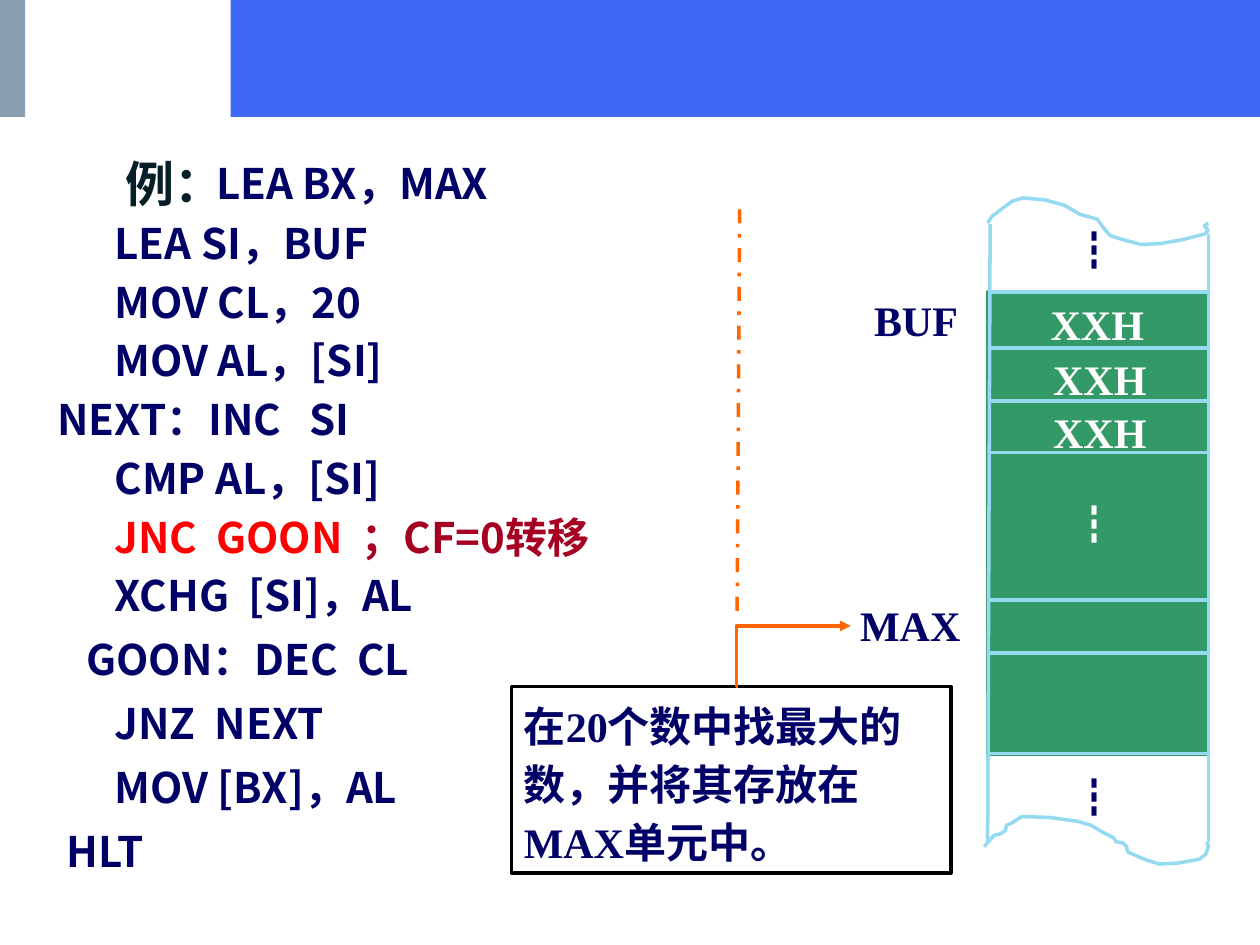
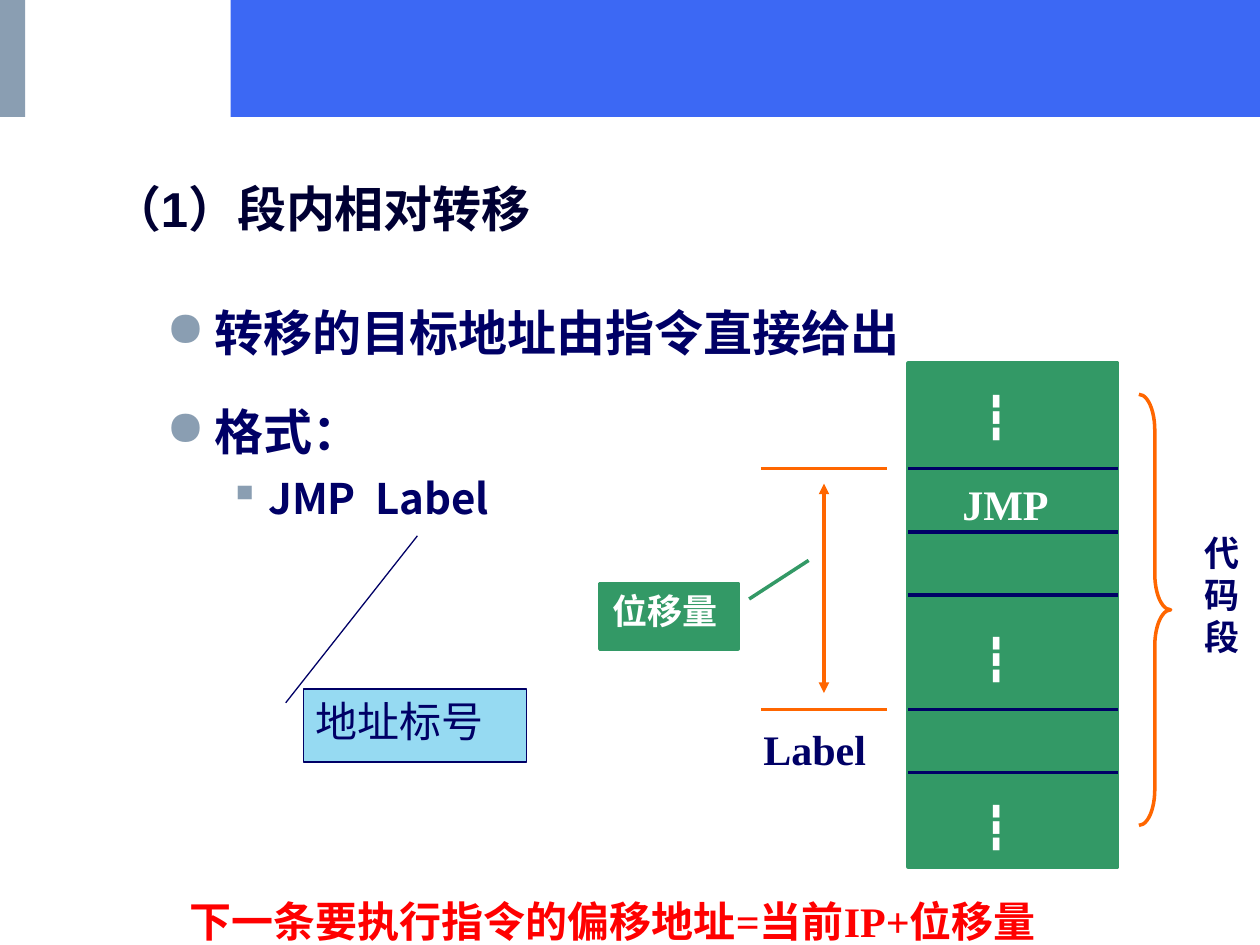
from dataclasses import dataclass
from typing import Optional

from lxml import etree
from pptx import Presentation
from pptx.dml.color import RGBColor
from pptx.enum import dml, shapes, text
from pptx.oxml import ns
from pptx.util import Cm, Pt

NAVY, GREEN, ORANGE, SKY = "000066", "339966", "FF6600", "96DAF2"
WHITE, RED, STEEL, BLUE = "FFFFFF", "FF0000", "8A9EB2", "3C68F4"
CJK, SERIF, SANS, MONO_DOTS = "Noto Sans CJK SC", "Times New Roman", "Arial", "DejaVu Sans"
DOTS = "┇"


@dataclass(frozen=True)
class Style:
    size: float = 24
    font: str = SERIF
    color: str = NAVY
    bold: bool = True


@dataclass(frozen=True)
class Label:
    left: float
    top: float
    width: float
    height: float
    words: str
    style: Style = Style()
    spacing: Optional[float] = None
    inset_top: float = 0.13
    middle: bool = False


@dataclass(frozen=True)
class Rule:
    x1: float
    y1: float
    x2: float
    y2: float
    color: str
    dash_dot: bool = False
    arrows: tuple[str, ...] = ()


@dataclass(frozen=True)
class Box:
    left: float
    top: float
    width: float
    height: float
    fill: Optional[str] = None
    line: Optional[str] = None
    weight: float = 2
    kind: int = shapes.MSO_SHAPE.RECTANGLE
    adjustments: tuple[float, ...] = ()


@dataclass(frozen=True)
class Bullet:
    words: str
    mark: str
    size: float
    margin: float
    hanging: float
    before: float
    after: float


CODE = Style(font=CJK)
CELL = Style(color=WHITE)
WIDE_DOTS = Style(font=CJK, bold=False)
CODE_LINES = [
    [("           ", Style(28, MONO_DOTS)), ("LEA BX，MAX", CODE)],
    [("         LEA SI，BUF", CODE)],
    [("         MOV CL，20", CODE)],
    [("         MOV AL，[SI]", CODE)],
    [("   NEXT：INC   SI", CODE)],
    [("         CMP AL，[SI]", CODE)],
    [("         ", CODE), ("JNC  GOON  ", Style(font=CJK, color=RED)),
     ("；CF=0转移", Style(font=CJK, color="A50021"))],
    [("         XCHG  [SI]，AL", CODE)],
    [("\t GOON：DEC  CL", CODE)],
    [("         JNZ  NEXT", CODE)],
    [("         MOV [BX]，AL", CODE)],
    [("    HLT", CODE)],
]
LOOSE_FROM = 8

TORN_TOP = [
    (19.91, 4.5), (19.99, 4.37), (20.12, 4.27), (20.4, 4.06), (20.62, 3.99), (21.06, 4.03),
    (21.46, 4.14), (21.77, 4.32), (22.12, 4.42), (22.25, 4.6), (22.38, 4.75), (22.63, 4.83),
    (23.01, 4.93), (23.4, 4.91), (23.85, 4.83), (24.28, 4.72), (24.36, 4.65), (24.28, 4.55),
    (24.36, 4.5),
]
TORN_BOTTOM = [
    (19.84, 17.07), (20.04, 16.84), (20.17, 16.81), (20.27, 16.74), (20.29, 16.64),
    (20.4, 16.59), (20.6, 16.46), (21.16, 16.48), (21.74, 16.56), (22, 16.64), (22.2, 16.76),
    (22.45, 16.89), (22.5, 16.97), (22.63, 16.99), (22.71, 17.07), (22.73, 17.17),
    (23.06, 17.32), (23.37, 17.42), (23.75, 17.4), (24.18, 17.32), (24.31, 17.22),
    (24.36, 17.07), (24.33, 16.97),
]


def rgb(value: str) -> RGBColor:
    return RGBColor.from_string(value)


def format_run(run, style: Style) -> None:
    run.font.size = Pt(style.size)
    run.font.name = style.font
    run.font.bold = style.bold
    run.font.color.rgb = rgb(style.color)
    latin = run.font._element.find(ns.qn("a:latin"))
    east_asian = etree.Element(ns.qn("a:ea"))
    east_asian.set("typeface", CJK if style.font in (SERIF, SANS) else style.font)
    latin.addnext(east_asian)


def write(shape, words: str, style: Style, spacing: Optional[float] = None) -> None:
    frame = shape.text_frame
    frame.word_wrap = True
    frame.text = words
    frame.vertical_anchor = text.MSO_ANCHOR.TOP
    paragraph = frame.paragraphs[0]
    paragraph.alignment = text.PP_ALIGN.LEFT
    if spacing:
        paragraph.line_spacing = spacing
    format_run(paragraph.runs[0], style)


def draw_label(slide, label: Label) -> None:
    holder = slide.shapes.add_textbox(
        Cm(label.left), Cm(label.top), Cm(label.width), Cm(label.height))
    write(holder, label.words, label.style, label.spacing)
    holder.text_frame.margin_top = Cm(label.inset_top)
    if label.middle:
        holder.text_frame.vertical_anchor = text.MSO_ANCHOR.MIDDLE


def paint(shape, fill: Optional[str], line: Optional[str], weight: float = 2) -> None:
    shape.shadow.inherit = False
    if fill:
        shape.fill.solid()
        shape.fill.fore_color.rgb = rgb(fill)
    else:
        shape.fill.background()
    if line:
        shape.line.color.rgb = rgb(line)
        shape.line.width = Pt(weight)
    else:
        shape.line.fill.background()


def draw_box(slide, box: Box):
    shape = slide.shapes.add_shape(
        box.kind, Cm(box.left), Cm(box.top), Cm(box.width), Cm(box.height))
    for index, value in enumerate(box.adjustments):
        shape.adjustments[index] = value
    paint(shape, box.fill, box.line, box.weight)
    return shape


def draw_rule(slide, rule: Rule, kind=shapes.MSO_CONNECTOR.STRAIGHT):
    connector = slide.shapes.add_connector(
        kind, Cm(rule.x1), Cm(rule.y1), Cm(rule.x2), Cm(rule.y2))
    connector.line.color.rgb = rgb(rule.color)
    connector.line.width = Pt(2)
    if rule.dash_dot:
        connector.line.dash_style = dml.MSO_LINE.DASH_DOT
    properties = connector._element.spPr
    for end in rule.arrows:
        etree.SubElement(properties.find(ns.qn("a:ln")), ns.qn(f"a:{end}")).set("type", "triangle")
    etree.SubElement(properties, ns.qn("a:effectLst"))
    return connector


def draw_tear(slide, points: list[tuple[float, float]]) -> None:
    (x, y), *rest = [(round(px * 100), round(py * 100)) for px, py in points]
    builder = slide.shapes.build_freeform(x, y, scale=Cm(0.01))
    builder.add_line_segments(rest, close=False)
    paint(builder.convert_to_shape(), None, SKY)


def set_indent(paragraph, margin: float, hanging: float) -> None:
    properties = paragraph._p.get_or_add_pPr()
    properties.set("marL", str(Cm(margin)))
    properties.set("indent", str(-Cm(hanging)))


def new_slide(prs):
    slide = prs.slides.add_slide(prs.slide_layouts[6])
    for band in (Box(4.65, 0, 20.75, 2.36, BLUE), Box(0, 0, 0.51, 2.36, STEEL)):
        draw_box(slide, band)
    return slide


def draw_code(slide) -> None:
    listing = slide.shapes.add_textbox(Cm(0.33), Cm(2.9), Cm(14.81), Cm(15.24))
    frame = listing.text_frame
    frame.word_wrap = True
    for number, pieces in enumerate(CODE_LINES):
        line = frame.add_paragraph() if number else frame.paragraphs[0]
        set_indent(line, 0.97, 0.97)
        if number:
            line.space_before = Pt(4.8)
        if number >= LOOSE_FROM:
            line.line_spacing = 1.1
        for words, style in pieces:
            run = line.add_run()
            run.text = words
            format_run(run, style)


def build_maximum_search(prs) -> None:
    slide = new_slide(prs)
    draw_code(slide)
    draw_rule(slide, Rule(14.91, 4.22, 14.86, 12.32, ORANGE, dash_dot=True))
    draw_label(slide, Label(2.29, 2.9, 3.61, 1.57, "例：",
                            Style(28, CJK, "061E27"), middle=True))

    left, right = 19.91, 24.36
    draw_box(slide, Box(left, 5.89, right - left, 9.32, GREEN, GREEN))
    for y in (5.89, 7.01, 8.08, 9.12, 12.09, 13.16, 15.19):
        draw_rule(slide, Rule(left, y, right, y, SKY))
    draw_rule(slide, Rule(19.96, 4.52, left, 16.97, SKY))
    draw_rule(slide, Rule(right, 4.72, right, 16.97, SKY))
    draw_tear(slide, TORN_BOTTOM)
    draw_tear(slide, TORN_TOP)

    for top, color in ((4.39, NAVY), (15.42, NAVY), (9.91, WHITE)):
        draw_label(slide, Label(21.39, top, 1.7, 1.27, DOTS, Style(24, CJK, color, False)))
    for x, y, words, style in (
        (17.09, 11.89, "MAX", Style()),
        (17.37, 5.74, "BUF", Style()),
        (20.93, 5.82, "XXH", CELL),
        (20.98, 6.93, "XXH", CELL),
        (20.98, 8, "XXH", CELL),
    ):
        draw_label(slide, Label(x, y, 2.97, 1.27, words, style, inset_top=0.2))

    task = draw_box(slide, Box(10.31, 13.84, 8.86, 3.76, line="000000"))
    write(task, "在20个数中找最大的数，并将其存放在MAX单元中。", Style(), 1.15)

    pointer = draw_rule(slide, Rule(14.88, 13.84, 17.15, 12.62, ORANGE, arrows=("tailEnd",)),
                        shapes.MSO_CONNECTOR.ELBOW)
    geometry = pointer._element.spPr.find(ns.qn("a:prstGeom"))
    bends = geometry.find(ns.qn("a:avLst"))
    if bends is None:
        bends = etree.SubElement(geometry, ns.qn("a:avLst"))
    bend = etree.SubElement(bends, ns.qn("a:gd"))
    bend.set("name", "adj1")
    bend.set("fmla", "val -1600")


def draw_bullets(slide) -> None:
    points = (
        Bullet("转移的目标地址由指令直接给出", "●", 28, 0.97, 0.97, 0, 11.2),
        Bullet("格式：", "●", 28, 0.97, 0.97, 7, 0),
        Bullet("JMP  Label", "▪", 24, 2.06, 0.79, 2.4, 9.6),
    )
    body = slide.shapes.add_textbox(Cm(3.1), Cm(5.79), Cm(15.6), Cm(5.13))
    frame = body.text_frame
    frame.word_wrap = True
    frame.text = "\n".join(point.words for point in points)
    for paragraph, point in zip(frame.paragraphs, points):
        set_indent(paragraph, point.margin, point.hanging)
        paragraph.line_spacing = 1.15
        paragraph.space_before = Pt(point.before)
        paragraph.space_after = Pt(point.after)
        properties = paragraph._p.get_or_add_pPr()
        tint = etree.SubElement(properties, ns.qn("a:buClr"))
        etree.SubElement(tint, ns.qn("a:srgbClr")).set("val", STEEL)
        etree.SubElement(properties, ns.qn("a:buChar")).set("char", point.mark)
        format_run(paragraph.runs[0], Style(point.size, CJK))


def build_relative_jump(prs) -> None:
    slide = new_slide(prs)
    draw_label(slide, Label(2.01, 3.4, 9.6, 1.57, "（1）段内相对转移",
                            Style(28, SANS, "000033"), middle=True))
    draw_bullets(slide)

    left, right = 18.31, 22.53
    jump_row, label_row = 9.45, 14.3
    draw_box(slide, Box(left, 7.32, right - left, 10.16, GREEN, GREEN))
    for y in (jump_row, 10.72, 11.99, label_row, 15.57):
        draw_rule(slide, Rule(left, y, right, y, NAVY))
    draw_label(slide, Label(19.15, jump_row, 2.97, 1.27, "JMP", CELL, inset_top=0.2))
    draw_label(slide, Label(15.14, 14.38, 2.9, 1.27, "Label", inset_top=0.2))
    for top in (7.75, 12.62, 16):
        draw_label(slide, Label(19.58, top, 1.47, 1.27, DOTS, Style(24, MONO_DOTS, WHITE)))

    draw_box(slide, Box(22.96, 7.95, 0.64, 8.69, line=ORANGE,
                        kind=shapes.MSO_SHAPE.RIGHT_BRACE, adjustments=(1.13, 0.5)))
    draw_label(slide, Label(24.03, 10.59, 1.3, 2.79, "代码段", Style(20)))
    for y in (jump_row, label_row):
        draw_rule(slide, Rule(15.34, y, 17.88, y, ORANGE))
    draw_rule(slide, Rule(16.61, 9.75, 16.61, 13.97, ORANGE, arrows=("headEnd", "tailEnd")))

    callout = shapes.MSO_SHAPE.LINE_CALLOUT_1
    offset = draw_box(slide, Box(12.09, 11.76, 2.79, 1.32, GREEN, GREEN, 2, callout,
                                 (0.24, 1.08, -0.35, 1.51)))
    write(offset, "位移量", Style(20, color=WHITE))
    draw_label(slide, Label(3.58, 18.11, 19.81, 1.07, "下一条要执行指令的偏移地址=当前IP+位移量",
                            Style(color=RED), 0.8))
    address = draw_box(slide, Box(6.12, 13.89, 4.5, 1.47, SKY, NAVY, 0.75, callout,
                                  (0.19, -0.08, -2.1, 0.51)))
    write(address, "地址标号", WIDE_DOTS)


def main() -> None:
    prs = Presentation()
    prs.slide_width, prs.slide_height = Cm(25.4), Cm(19.05)
    build_maximum_search(prs)
    build_relative_jump(prs)
    prs.save("out.pptx")


if __name__ == "__main__":
    main()
